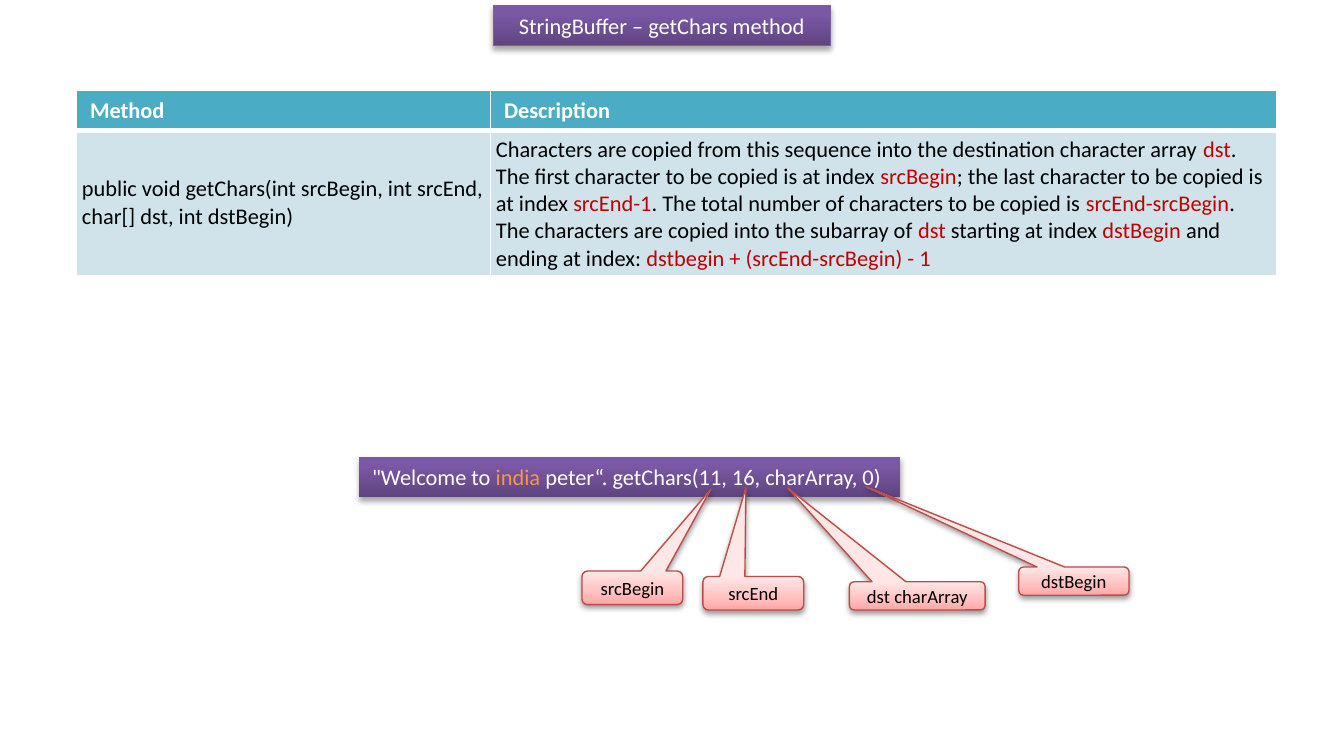
import lxml.etree
import pptx
import pptx.dml.color
import pptx.enum.shapes
import pptx.enum.text
import pptx.oxml.ns
import pptx.util

Inches = pptx.util.Inches
Pt = pptx.util.Pt
qn = pptx.oxml.ns.qn
SHAPES = pptx.enum.shapes.MSO_SHAPE
ALIGN = pptx.enum.text.PP_ALIGN
ANCHOR = pptx.enum.text.MSO_ANCHOR
AUTO_SIZE = pptx.enum.text.MSO_AUTO_SIZE

COLOURS = {
    "white": "FFFFFF",
    "black": "000000",
    "purple line": "7D60A0",
    "red line": "BF4C48",
    "keyword": "C00000",
    "highlight": "F79646",
    "header": "4BACC6",
    "body": "D0E3EA",
}
PURPLE = [(0, "5F4480"), (80, "7B58A6"), (100, "7C57A8")]
PINK = [(0, "FFA6A5"), (35, "FFC0BF"), (100, "FFE7E7")]


def rgb(name):
    return pptx.dml.color.RGBColor.from_string(COLOURS[name])


def add_node(parent, tag, **attributes):
    node = lxml.etree.SubElement(parent, qn(tag))
    for name, value in attributes.items():
        node.set(name, str(value))
    return node


def write_text(frame, runs, size=12, colour="white", bold=False, align=ALIGN.LEFT):
    paragraph = frame.paragraphs[0]
    paragraph.alignment = align
    for text, run_colour in runs:
        run = paragraph.add_run()
        run.text = text
        run.font.name = "Calibri"
        run.font.size = Pt(size)
        run.font.bold = bold
        run.font.color.rgb = rgb(run_colour or colour)


def add_panel(slide, kind, box, stops, line=None, opacity=35, distance=1.8):
    shape = slide.shapes.add_shape(kind, *map(Inches, box))
    if line:
        shape.line.color.rgb = rgb(line)
        shape.line.width = Pt(0.75)
    else:
        shape.line.fill.background()
    properties = shape._element.spPr
    gradient = lxml.etree.Element(qn("a:gradFill"), rotWithShape="1")
    stop_list = add_node(gradient, "a:gsLst")
    for position, colour in stops:
        stop = add_node(stop_list, "a:gs", pos=position * 1000)
        add_node(stop, "a:srgbClr", val=colour)
    add_node(gradient, "a:lin", ang=270 * 60000, scaled=0)
    properties.find(qn("a:prstGeom")).addnext(gradient)
    effects = add_node(properties, "a:effectLst")
    shadow = add_node(effects, "a:outerShdw", blurRad=Pt(3.1), dist=Pt(distance),
                      dir=90 * 60000, rotWithShape=0)
    add_node(add_node(shadow, "a:srgbClr", val=COLOURS["black"]),
             "a:alpha", val=opacity * 1000)
    return shape


def add_banner(slide, box, runs, line=None, wrap=True, align=ALIGN.LEFT):
    shape = add_panel(slide, SHAPES.RECTANGLE, box, PURPLE, line)
    frame = shape.text_frame
    frame.word_wrap = wrap
    frame.auto_size = AUTO_SIZE.SHAPE_TO_FIT_TEXT
    frame.vertical_anchor = ANCHOR.TOP
    write_text(frame, runs, align=align)


def add_callout(slide, box, label, tip):
    shape = add_panel(slide, SHAPES.ROUNDED_RECTANGULAR_CALLOUT, box, PINK,
                      "red line", opacity=38, distance=1.6)
    left, top, width, height = box
    shape.adjustments[0] = (tip[0] - left) / width - 0.5
    shape.adjustments[1] = (tip[1] - top) / height - 0.5
    shape.adjustments[2] = 0.167
    shape.text_frame.vertical_anchor = ANCHOR.MIDDLE
    write_text(shape.text_frame, [(label, None)], size=10, colour="black",
               align=ALIGN.CENTER)


def set_borders(cell, **widths):
    properties = cell._tc.get_or_add_tcPr()
    for index, side in enumerate("LRTB"):
        border = lxml.etree.Element(qn("a:ln" + side), w=str(Pt(widths.get(side, 1))))
        fill = add_node(border, "a:solidFill")
        add_node(fill, "a:srgbClr", val=COLOURS["white"])
        properties.insert(index, border)


def add_method_table(slide, box, headings, contents):
    table = slide.shapes.add_table(2, 2, *map(Inches, box)).table
    for column, width in zip(table.columns, (3.08, box[2] - 3.08)):
        column.width = Inches(width)
    for row, height in zip(table.rows, (0.3, box[3] - 0.3)):
        row.height = Inches(height)
    for index, (heading, runs) in enumerate(zip(headings, contents)):
        header, body = table.cell(0, index), table.cell(1, index)
        for cell, colour in ((header, "header"), (body, "body")):
            cell.fill.solid()
            cell.fill.fore_color.rgb = rgb(colour)
        set_borders(header, B=3)
        set_borders(body, T=3)
        body.margin_left = body.margin_right = Inches(0.04)
        body.margin_top = body.margin_bottom = Inches(0.04)
        body.vertical_anchor = ANCHOR.MIDDLE
        write_text(header.text_frame, [(heading, None)], bold=True)
        write_text(body.text_frame, runs, colour="black")


def main():
    presentation = pptx.Presentation()
    presentation.slide_width = Inches(10)
    presentation.slide_height = Inches(5.5)
    slide = presentation.slides.add_slide(presentation.slide_layouts[6])

    add_banner(slide, (3.67, 0.04, 2.51, 0.3),
               [("StringBuffer – getChars method", None)],
               line="purple line", align=ALIGN.CENTER)

    signature = [("public void getChars(int srcBegin, int srcEnd, "
                  "char[] dst, int dstBegin)", None)]
    description = [
        ("Characters are copied from this sequence into the destination "
         "character array ", None),
        ("dst", "keyword"),
        (". The first character to be copied is at index ", None),
        ("srcBegin", "keyword"),
        ("; the last character to be copied is at index ", None),
        ("srcEnd-1", "keyword"),
        (". The total number of characters to be copied is ", None),
        ("srcEnd-srcBegin", "keyword"),
        (". The characters are copied into the subarray of ", None),
        ("dst", "keyword"),
        (" starting at index ", None),
        ("dstBegin", "keyword"),
        (" and ending at index: ", None),
        ("dstbegin + (srcEnd-srcBegin) - 1", "keyword"),
    ]
    add_method_table(slide, (0.57, 0.67, 8.93, 1.38),
                     ("Method", "Description"), (signature, description))

    add_banner(slide, (2.67, 3.4, 4.03, 0.3),
               [('"Welcome to ', None), ("india ", "highlight"),
                ("peter“. getChars(11, 16, charArray, 0)", None)], wrap=False)

    callouts = [
        ((4.33, 4.25, 0.75, 0.25), "srcBegin", (5.29, 3.64)),
        ((5.23, 4.29, 0.75, 0.25), "srcEnd", (5.55, 3.63)),
        ((6.32, 4.33, 1.01, 0.21), "dst charArray", (5.86, 3.63)),
        ((7.58, 4.22, 0.82, 0.21), "dstBegin", (6.44, 3.62)),
    ]
    for box, label, tip in callouts:
        add_callout(slide, box, label, tip)

    presentation.save("out.pptx")


if __name__ == "__main__":
    main()
